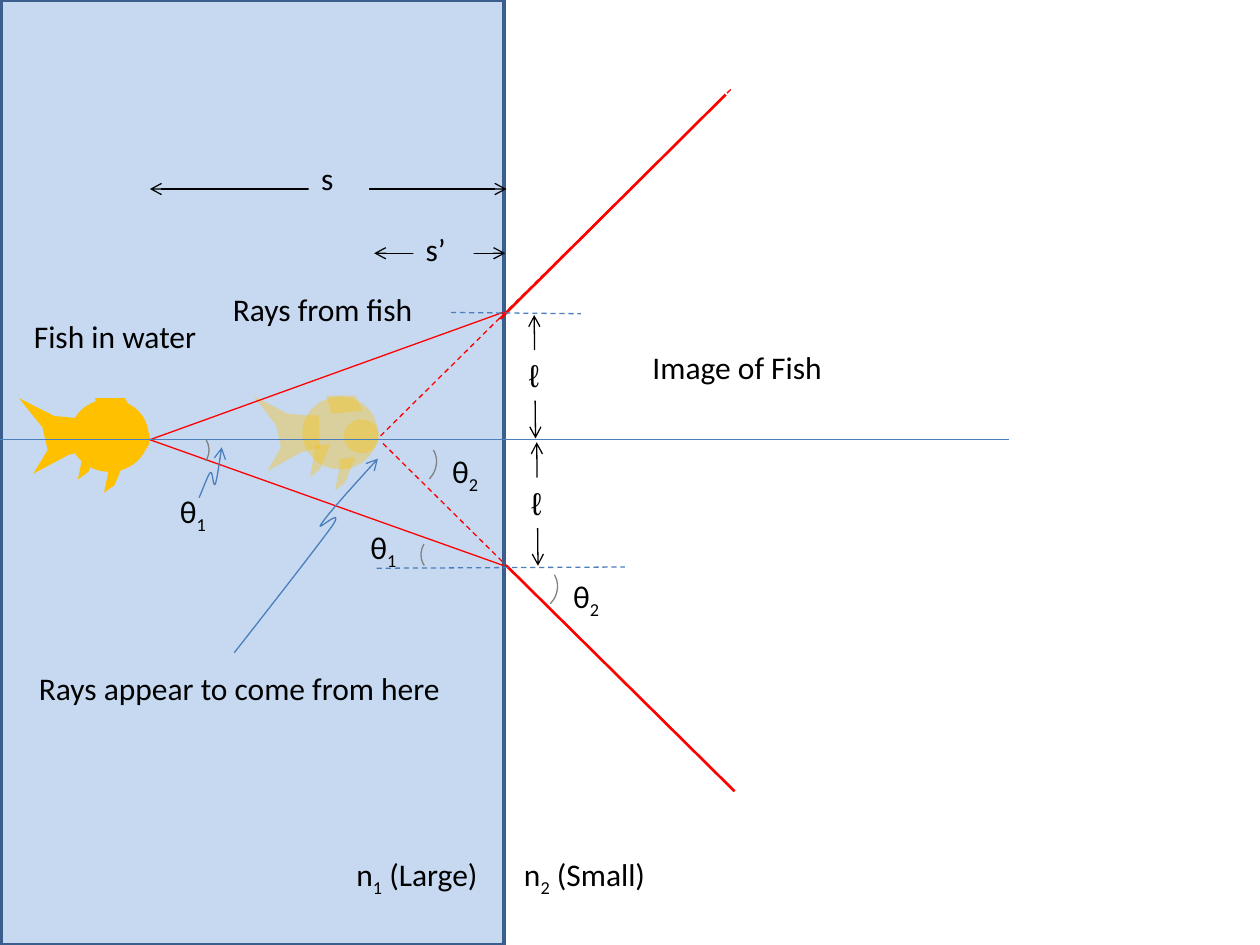
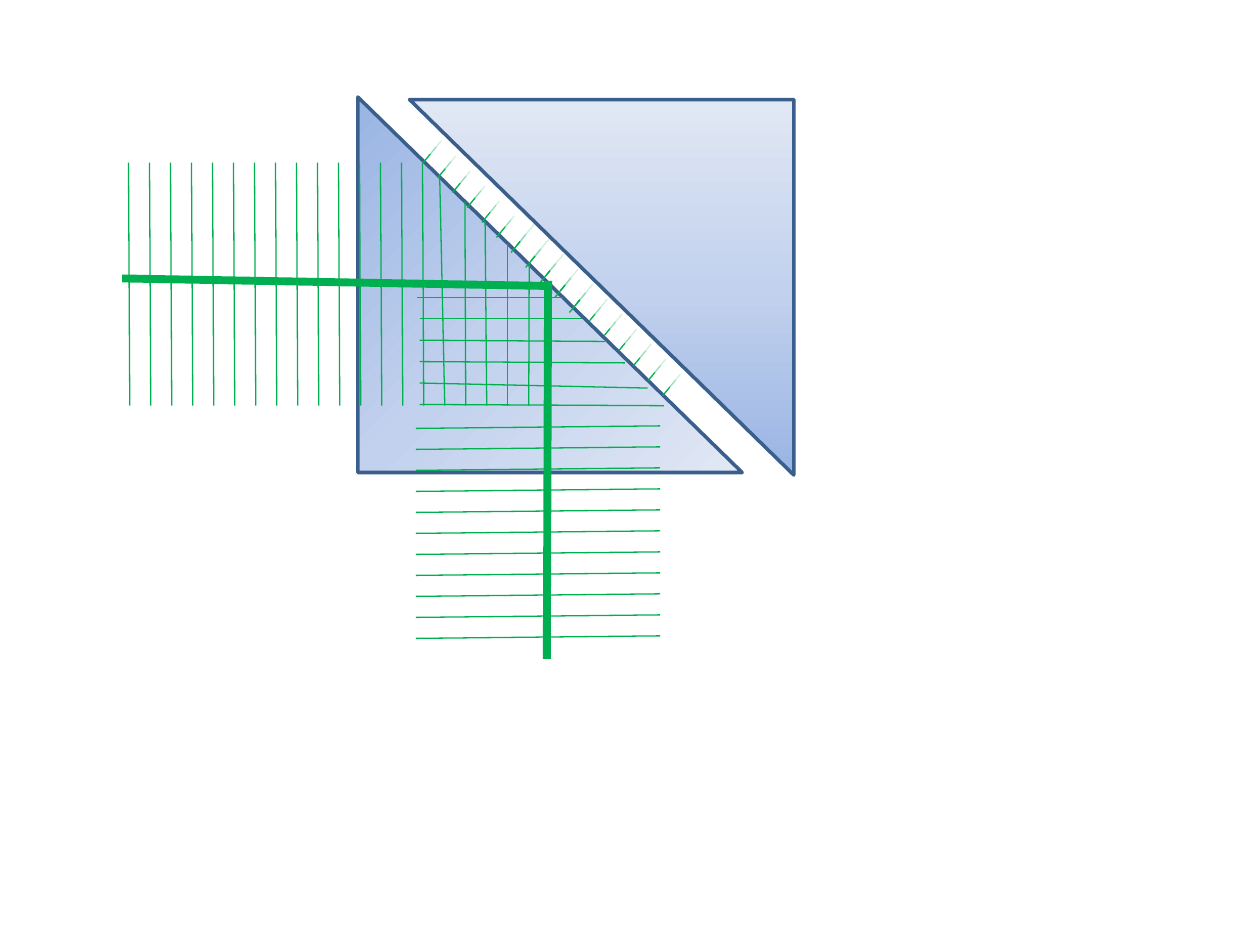
from dataclasses import dataclass

from lxml.etree import SubElement
from pptx import Presentation
from pptx.dml.color import RGBColor as Rgb
from pptx.enum.dml import MSO_LINE_DASH_STYLE as Dash
from pptx.enum.shapes import MSO_CONNECTOR as Link, MSO_SHAPE as Preset
from pptx.enum.text import MSO_ANCHOR as Anchor, MSO_AUTO_SIZE as Fit, PP_ALIGN as Align
from pptx.oxml import parse_xml
from pptx.oxml.ns import nsdecls, qn
from pptx.util import Inches, Pt

COLORS = {
    "water": "C6D9F1", "air": "FFFFFF", "edge": "3A5F8C", "fish": "FFC000",
    "ray": "FF0000", "guide": "4B7EBC", "arc": "808080", "ink": "000000",
    "wave": "00B050",
}
GLASS = {0: "9AB5E4", 50: "C2D1ED", 100: "E1E8F5"}
WIDTH, HEIGHT = Inches(10), Inches(7.5)
COLUMNS, ROWS = 10, 7.5
LABEL_FONT = {"size": Pt(18), "name": "Calibri"}
LABEL_FRAME = {"vertical_anchor": Anchor.TOP, "auto_size": Fit.SHAPE_TO_FIT_TEXT}


@dataclass
class Box:
    """A region of the slide, divided into columns and rows."""
    left: float
    top: float
    width: float
    height: float
    columns: float = 1
    rows: float = 1

    def at(self, x, y):
        return (round(self.left + self.width * x / self.columns),
                round(self.top + self.height * y / self.rows))

    def frame(self, x, y, wide, high):
        return (*self.at(x, y), round(self.width * wide / self.columns),
                round(self.height * high / self.rows))

    def region(self, *cells):
        return Box(*self.frame(*cells))


# Shared drawing helpers

def set_values(target, values):
    for name, value in values.items():
        setattr(target, name, value)


def paint(shape, fill=None, line=None, weight=0.75, alpha=None):
    shape.shadow.inherit = False
    if fill:
        shape.fill.solid()
        shape.fill.fore_color.rgb = Rgb.from_string(COLORS[fill])
        if alpha:
            color = shape._element.spPr.find(qn("a:solidFill"))[0]
            SubElement(color, qn("a:alpha"), val=str(alpha * 1000))
    else:
        shape.fill.background()
    if line:
        shape.line.color.rgb = Rgb.from_string(COLORS[line])
        shape.line.width = Pt(weight)
    else:
        shape.line.fill.background()


def add_preset(page, box, preset, cells, rotation=0, **style):
    shape = page.shapes.add_shape(preset, *box.frame(*cells))
    shape.rotation = rotation
    paint(shape, **style)
    return shape


def add_outline(page, box, points, close=True, **style):
    start, *rest = [box.at(*point) for point in points]
    builder = page.shapes.build_freeform(*start, scale=1.0)
    builder.add_line_segments(rest, close=close)
    shape = builder.convert_to_shape()
    paint(shape, **style)
    return shape


def add_arrowheads(shape, ends):
    outline = shape._element.spPr.find(qn("a:ln"))
    for end in ("headEnd", "tailEnd"):
        if end in ends:
            SubElement(outline, qn(f"a:{end}"), type="arrow")


def add_line(page, box, start, end, color, weight=0.75, dashed=False, ends=()):
    line = page.shapes.add_connector(Link.STRAIGHT, *box.at(*start), *box.at(*end))
    line.line.color.rgb = Rgb.from_string(COLORS[color])
    line.line.width = Pt(weight)
    if dashed:
        line.line.dash_style = Dash.DASH
    add_arrowheads(line, ends)
    SubElement(line._element.spPr, qn("a:effectLst"))


def add_curved_arrow(page, box, points, end):
    """Treat the points after the first as threes of Bezier controls."""
    curve = add_outline(page, box, points, close=False, line="guide")
    steps = curve._element.findall(".//" + qn("a:lnTo"))
    for first in range(0, len(steps), 3):
        bend = steps[first].makeelement(qn("a:cubicBezTo"))
        steps[first].addprevious(bend)
        for step in steps[first:first + 3]:
            bend.append(step[0])
            step.getparent().remove(step)
    add_arrowheads(curve, [end])


def add_label(page, box, cells, *pieces, fill=None, wrap=False, font="Calibri"):
    """Write the pieces in turn as plain text and subscript."""
    if fill:
        label = add_preset(page, box, Preset.RECTANGLE, cells, fill=fill)
    else:
        label = page.shapes.add_textbox(*box.frame(*cells))
    set_values(label.text_frame, {**LABEL_FRAME, "word_wrap": wrap})
    para = label.text_frame.paragraphs[0]
    para.alignment = Align.LEFT
    for index, text in enumerate(pieces):
        span = para.add_run()
        span.text = text
        set_values(span.font, {**LABEL_FONT, "name": font})
        span.font.color.rgb = Rgb.from_string(COLORS["ink"])
        if index % 2:
            span._r.get_or_add_rPr().set("baseline", "-25000")


# Refraction slide

def draw_fish(page, box, alpha=None):
    style = {"fill": "fish", "alpha": alpha}
    tail = [(.43, .21), (.27, .19), (0, 0), (.18, .31), (.22, .55),
            (.11, .8), (.38, .6), (.53, .55), (.52, .21)]
    fin = [(.81, .65), (.73, .92), (.65, 1), (.68, .8), (.69, .67)]
    front_fin = [(x - .2, y - .14) for x, y in fin]
    back_fin = [(.87, .16), (.81, 0), (.58, 0), (.62, .19)]
    add_preset(page, box, Preset.OVAL, (.39, .01, .6, .77), **style)
    for points in (tail, fin, front_fin, back_fin):
        add_outline(page, box, points, **style)
    add_preset(page, box, Preset.OVAL, (.72, .25, .28, .36), **style)


def draw_rays(page, box):
    rays = [
        ((3.02, 3.46), (5.81, .7), .75, True),
        ((3.97, 2.53), (5.76, .75), 1.5, False),
        ((1.19, 3.49), (3.99, 2.48), .75, False),
        ((3.04, 3.52), (5.81, 6.26), .75, True),
        ((4.02, 4.49), (5.83, 6.28), 1.5, False),
        ((1.19, 3.49), (4, 4.49), .75, False),
    ]
    for start, end, weight, dashed in rays:
        add_line(page, box, start, end, "ray", weight, dashed)


def draw_distances(page, box):
    both = ("headEnd", "tailEnd")
    distances = [
        ((2.97, 2.01), (4.01, 2.01), (3.28, 1.78, .48, .4), "s’"),
        ((1.19, 1.5), (4.02, 1.5), (2.45, 1.21, .48, .4), "s"),
        ((4.25, 3.48), (4.24, 2.5), (4.1, 2.78, .34, .4), "ℓ"),
        ((4.27, 4.49), (4.26, 3.51), (4.12, 3.79, .34, .4), "ℓ"),
    ]
    for start, end, cells, name in distances:
        add_line(page, box, start, end, "ink", ends=both)
        upright = name == "ℓ"
        add_label(page, box, cells, name, fill="air" if upright else "water",
                  wrap=not upright, font="Arial" if upright else "Calibri")


def draw_guides(page, box):
    add_line(page, box, (0, 3.49), (8.01, 3.49), "guide")
    add_line(page, box, (3.58, 2.48), (4.61, 2.49), "guide", dashed=True)
    add_line(page, box, (2.99, 4.51), (4.96, 4.5), "guide", dashed=True)


def draw_angles(page, box):
    angles = [
        ((1.33, 3.86), "1", (1.36, 3.42, .31, .28), False),
        ((3.49, 3.54), "2", (3.07, 3.47, .38, .42), False),
        ((2.84, 4.14), "1", (3.33, 4.25, .31, .28), True),
        ((4.45, 4.53), "2", (4.03, 4.46, .38, .42), False),
    ]
    for corner, number, cells, mirrored in angles:
        add_label(page, box, (*corner, .42, .4), "θ", number)
        arc = add_preset(page, box, Preset.ARC, cells,
                         300.9 if mirrored else 59.1, line="arc")
        arc.adjustments[0], arc.adjustments[1] = 162, 204.33
        if mirrored:
            arc._element.spPr.find(qn("a:xfrm")).set("flipH", "1")


def draw_captions(page, box):
    captions = [
        ((.21, 5.26, 3.42, .4), "Rays appear to come from here"),
        ((.17, 2.47, 1.51, .4), "Fish in water"),
        ((1.75, 2.25, 1.73, .4), "Rays from fish"),
        ((5.08, 2.71, 1.62, .4), "Image of Fish"),
    ]
    for cells, text in captions:
        add_label(page, box, cells, text, wrap=True)
    add_label(page, box, (2.73, 6.74, 1.19, .4), "n", "1", " (Large)")
    add_label(page, box, (4.06, 6.74, 1.19, .4), "n", "2", " (Small)")


def draw_pointers(page, box):
    add_curved_arrow(page, box, [
        (1.58, 3.95), (1.62, 3.86), (1.65, 3.77), (1.67, 3.75), (1.69, 3.73),
        (1.69, 3.88), (1.71, 3.84), (1.72, 3.81), (1.74, 3.68), (1.76, 3.55),
    ], "tailEnd")
    add_curved_arrow(page, box, [
        (3, 3.64), (2.81, 3.85), (2.61, 4.07), (2.55, 4.16), (2.49, 4.24),
        (2.75, 4), (2.64, 4.17), (2.52, 4.34), (1.86, 5.18), (1.86, 5.18),
    ], "headEnd")


def build_refraction(page, box):
    add_preset(page, box, Preset.RECTANGLE, (.01, 0, 3.99, 7.5),
               fill="water", line="edge", weight=2)
    draw_fish(page, box.region(.15, 3.16, 1.04, .75))
    draw_fish(page, box.region(2.01, 3.14, 1, .75), alpha=34)
    for draw in (draw_rays, draw_captions, draw_distances,
                 draw_guides, draw_angles, draw_pointers):
        draw(page, box)


# Prism slide

def draw_prism(page, box, cells, angle, rotation=0):
    prism = add_preset(page, box, Preset.RIGHT_TRIANGLE, cells, rotation,
                       line="edge", weight=2)
    stops = "".join(f'<a:gs pos="{share * 1000}"><a:srgbClr val="{color}"/></a:gs>'
                    for share, color in GLASS.items())
    properties = prism._element.spPr
    properties.replace(properties.find(qn("a:noFill")), parse_xml(
        f'<a:gradFill {nsdecls("a")} rotWithShape="1"><a:gsLst>{stops}</a:gsLst>'
        f'<a:lin ang="{angle * 60000}" scaled="0"/></a:gradFill>'))


def draw_wavefronts(page, box):
    # Incoming fronts stop at the long face of the first prism
    tops = [1.02 + i / 6 for i in range(15)] + [3.49, 3.69, 3.85, 4.03, 4.2]
    for i, x in enumerate(tops):
        face = .77 + (x - 2.84) * 2.98 / 3.05
        add_line(page, box, (x, max(1.29, face)), (1.03 + i / 6, 3.22), "wave")
    # Reflected fronts, first cut by the long face and then at full width
    cut_ends = [(4.47, 2.36), (4.62, 2.53), (4.8, 2.71),
                (4.96, 2.88), (5.14, 3.08), (5.27, 3.22)]
    for i, end in enumerate(cut_ends):
        add_line(page, box, end, (3.33 if i else 3.31, 2.36 + .17 * i), "wave")
    for i in range(11):
        y = 3.38 + i / 6
        add_line(page, box, (5.24, y), (3.3, y + .02), "wave")


def draw_evanescent_wave(page, box):
    for left, top in ((3.5, 1.12), (4.24, 1.78)):
        for i in range(11):
            x, y = left + 1.16 * i / 10, top + 1.19 * i / 10
            add_line(page, box, (x, y), (x - .14, y + .17), "wave")
    # Veils that fade the wave across the gap
    for cells in ((4.38, .56, .31, 2.87), (4.28, .59, .18, 2.87)):
        add_preset(page, box, Preset.RECTANGLE, cells, 314.2, fill="air", alpha=58)


def build_prisms(page, box):
    draw_prism(page, box, (2.84, .77, 3.05, 2.98), 45)
    add_line(page, box, (.97, 2.21), (4.36, 2.27), "wave", 4.5)
    add_line(page, box, (4.34, 5.23), (4.35, 2.23), "wave", 4.5)
    draw_wavefronts(page, box)
    draw_evanescent_wave(page, box)
    draw_prism(page, box, (3.25, .79, 3.05, 2.98), 90, rotation=180)


def main():
    deck = Presentation()
    set_values(deck, {"slide_width": WIDTH, "slide_height": HEIGHT})
    whole = Box(0, 0, WIDTH, HEIGHT, COLUMNS, ROWS)
    for build in (build_refraction, build_prisms):
        build(deck.slides.add_slide(deck.slide_layouts[6]), whole)
    deck.save("out.pptx")


if __name__ == "__main__":
    main()
